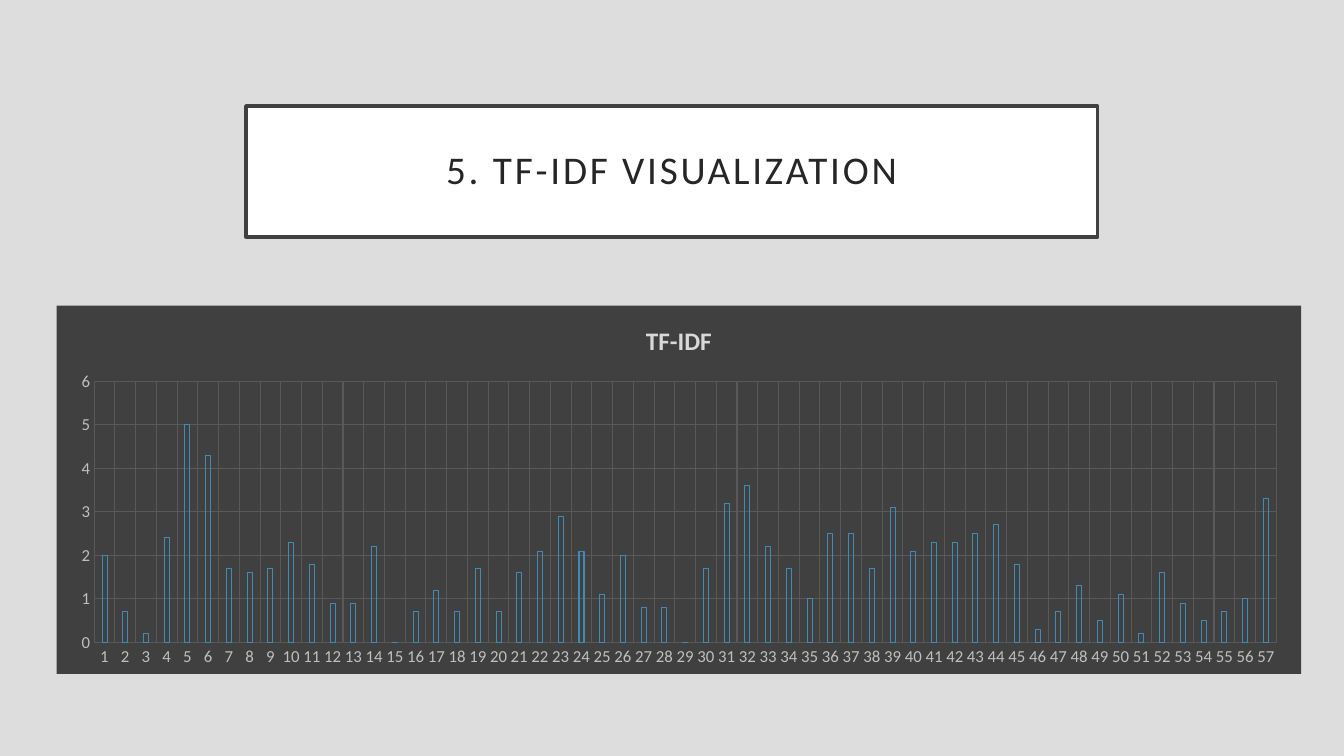
from dataclasses import dataclass

from lxml import etree
from pptx import Presentation
from pptx import util as u
from pptx.chart.data import CategoryChartData
from pptx.dml.color import RGBColor
from pptx.enum import chart as charts, shapes, text


@dataclass(frozen=True)
class Theme:
    font: str = "Calibri"
    background: str = "DDDDDD"
    paper: str = "FFFFFF"
    dark: str = "404040"
    ink: str = "262626"
    grid: str = "595959"
    axis_text: str = "BFBFBF"
    chart_title: str = "D9D9D9"
    accent: str = "418AB3"
    title_size: int = 28
    chart_title_size: int = 18
    axis_size: int = 12


SCORES = [
    2, 0.7, 0.2, 2.4, 5, 4.3, 1.7, 1.6, 1.7, 2.3, 1.8, 0.9, 0.9, 2.2, 0,
    0.7, 1.2, 0.7, 1.7, 0.7, 1.6, 2.1, 2.9, 2.1, 1.1, 2, 0.8, 0.8, 0, 1.7,
    3.2, 3.6, 2.2, 1.7, 1, 2.5, 2.5, 1.7, 3.1, 2.1, 2.3, 2.3, 2.5, 2.7, 1.8,
    0.3, 0.7, 1.3, 0.5, 1.1, 0.2, 1.6, 0.9, 0.5, 0.7, 1, 3.3,
]


def apply(target, values):
    for name, value in values.items():
        setattr(target, name, value)


class SlideBuilder:
    def __init__(self, slide, theme):
        self.slide = slide
        self.theme = theme

    def background(self):
        self.paint(self.slide.background.fill, self.theme.background)

    def paint(self, fill, color):
        fill.solid()
        fill.fore_color.rgb = RGBColor.from_string(color)

    def stroke(self, line, color, width):
        self.paint(line.fill, color)
        line.width = u.Pt(width)

    def style_font(self, font, size, color, bold=False):
        apply(font, {"name": self.theme.font, "size": u.Pt(size), "bold": bold})
        font.color.rgb = RGBColor.from_string(color)

    def title_box(self, words, left, top, width, height):
        shape = self.slide.shapes.add_shape(
            shapes.MSO_SHAPE.RECTANGLE, *map(u.Cm, (left, top, width, height)))
        shape.shadow.inherit = False
        self.paint(shape.fill, self.theme.paper)
        self.stroke(shape.line, self.theme.dark, 2.5)
        frame = shape.text_frame
        margins = ("margin_left", "margin_top", "margin_right", "margin_bottom")
        apply(frame, {"word_wrap": True, "vertical_anchor": text.MSO_ANCHOR.MIDDLE,
                      **dict.fromkeys(margins, u.Cm(0.51))})
        paragraph = frame.paragraphs[0]
        apply(paragraph, {"alignment": text.PP_ALIGN.CENTER, "line_spacing": 0.9})
        run = paragraph.add_run()
        run.text = words
        self.style_font(run.font, self.theme.title_size, self.theme.ink)
        run.font._element.set("spc", "200")

    def column_chart(self, heading, series_name, values, left, top, width, height):
        data = CategoryChartData()
        data.categories = [str(number) for number in range(1, len(values) + 1)]
        data.add_series(series_name, values)
        chart = self.slide.shapes.add_chart(
            charts.XL_CHART_TYPE.COLUMN_CLUSTERED,
            *map(u.Cm, (left, top, width, height)), data).chart
        apply(chart, {"has_legend": False, "has_title": True})
        self.style_font(chart.font, self.theme.axis_size, self.theme.axis_text)
        self.chart_area(chart)

        # Chart heading
        chart.chart_title.include_in_layout = False
        run = chart.chart_title.text_frame.paragraphs[0].add_run()
        run.text = heading
        self.style_font(run.font, self.theme.chart_title_size,
                        self.theme.chart_title, bold=True)

        # Outlined columns
        plot = chart.plots[0]
        apply(plot, {"gap_width": 315, "overlap": -40, "vary_by_categories": False})
        columns = plot.series[0]
        columns.format.fill.background()
        self.stroke(columns.format.line, self.theme.accent, 0.75)

        # Axes and grid
        for axis in (chart.category_axis, chart.value_axis):
            apply(axis, {"has_major_gridlines": True,
                         "major_tick_mark": charts.XL_TICK_MARK.NONE,
                         "minor_tick_mark": charts.XL_TICK_MARK.NONE})
            axis.format.line.fill.background()
            self.stroke(axis.major_gridlines.format.line, self.theme.grid, 0.75)
            self.style_font(axis.tick_labels.font, self.theme.axis_size,
                            self.theme.axis_text)
        apply(chart.value_axis, {"minimum_scale": 0, "maximum_scale": 6,
                                 "major_unit": 1})
        apply(chart.value_axis.tick_labels,
              {"number_format": "General", "number_format_is_linked": False})

    def chart_area(self, chart):
        area = etree.fromstring(
            '<c:spPr xmlns:c="http://schemas.openxmlformats.org/drawingml/2006/chart"'
            ' xmlns:a="http://schemas.openxmlformats.org/drawingml/2006/main">'
            f'<a:solidFill><a:srgbClr val="{self.theme.dark}"/></a:solidFill>'
            '<a:ln><a:noFill/></a:ln></c:spPr>')
        chart._chartSpace.chart.addnext(area)


def main():
    presentation = Presentation()
    apply(presentation, {"slide_width": u.Cm(33.87), "slide_height": u.Cm(19.05)})
    slide = presentation.slides.add_slide(presentation.slide_layouts[6])
    builder = SlideBuilder(slide, Theme())
    builder.background()
    builder.title_box("5. TF-IDF VISUALIZATION", 6.2, 2.67, 21.46, 3.3)
    builder.column_chart("TF-IDF", "Series 1", SCORES, 1.43, 7.7, 31.36, 9.28)
    presentation.save("out.pptx")


if __name__ == "__main__":
    main()
